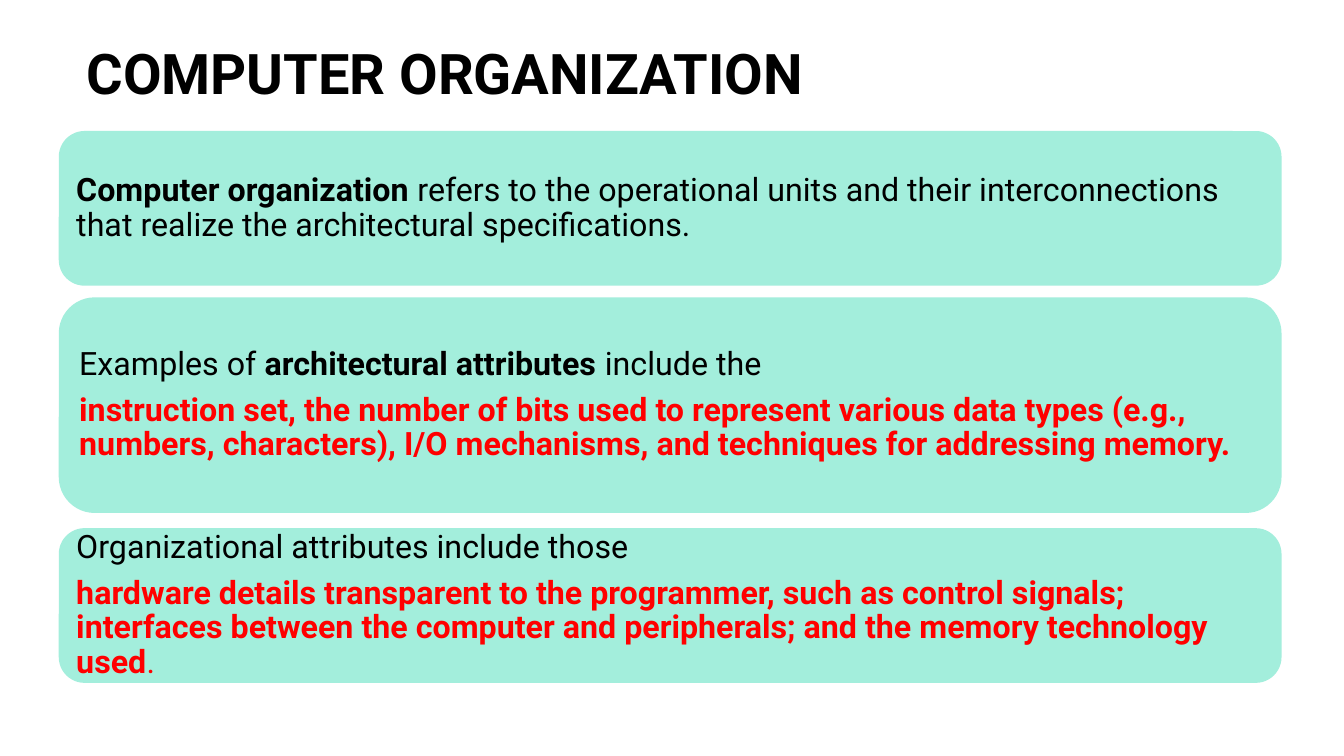
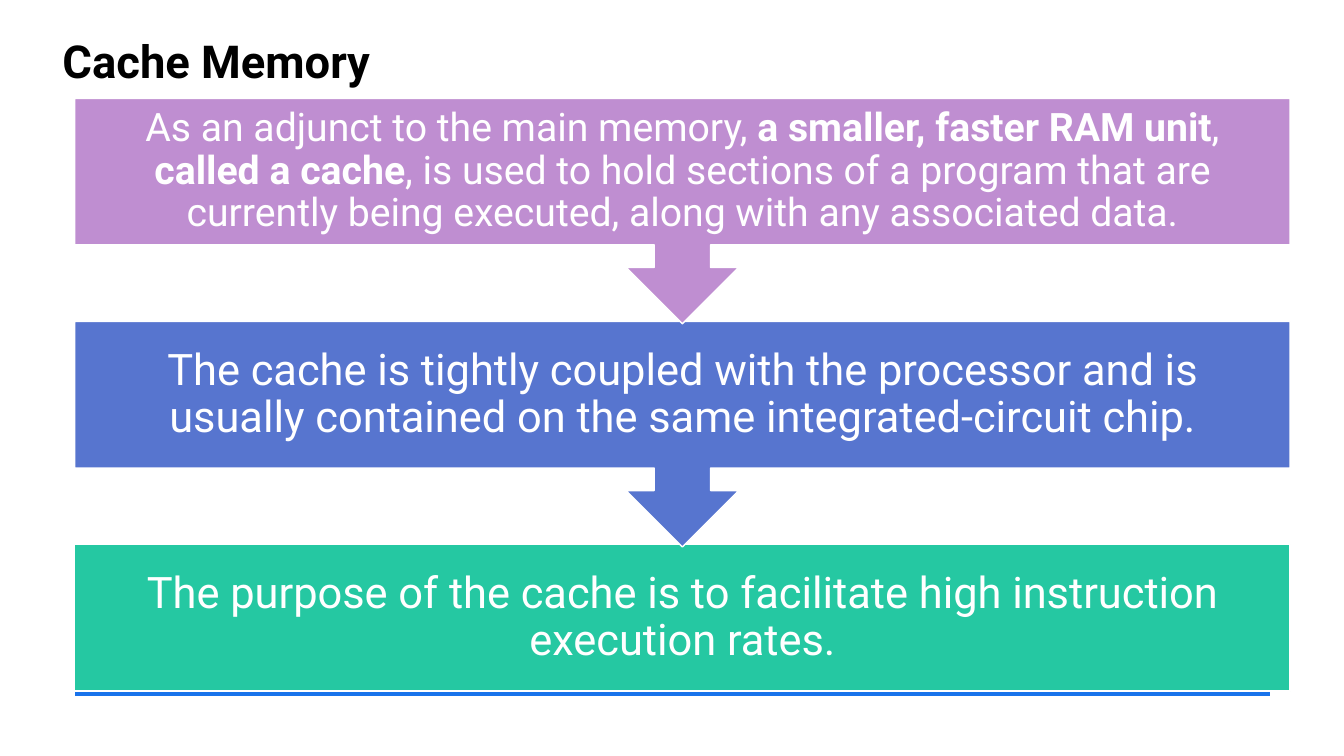
from lxml import etree
from pptx import Presentation
from pptx.dml.color import RGBColor
from pptx.enum import shapes, text
from pptx.oxml.ns import qn
from pptx.util import Pt

BLACK, WHITE, RED = "000000", "FFFFFF", "FF0000"
MINT, GREEN, BLUE, PURPLE = "A3EEDC", "25C8A2", "5775CF", "BF8ED1"
RULE = "1973EB"


def rgb(value):
    return RGBColor.from_string(value)


class Deck:
    """Holds the style and the current slide."""

    font = "Roboto"
    inset = 7.2
    line_spacing = 0.9
    space_after = 0.35  # share of the text size

    def __init__(self):
        self.prs = Presentation()
        self.prs.slide_width, self.prs.slide_height = Pt(960), Pt(540)
        self.s = None

    def slide(self):
        self.s = self.prs.slides.add_slide(self.prs.slide_layouts[6])

    def frame(self, sp, inset, anchor):
        tf = sp.text_frame
        margins = {f"margin_{side}": Pt(inset)
                   for side in ("left", "top", "right", "bottom")}
        fmt = {"word_wrap": True, "vertical_anchor": anchor, **margins}
        for name, value in fmt.items():
            setattr(tf, name, value)
        return tf

    def run(self, p, words, size, color, bold=False):
        r = p.add_run()
        r.text = words
        fmt = {"name": self.font, "size": Pt(size), "bold": bold}
        for name, value in fmt.items():
            setattr(r.font, name, value)
        r.font.color.rgb = rgb(color)

    def title(self, words, x, y, w, h, size):
        sp = self.s.shapes.add_textbox(Pt(x), Pt(y), Pt(w), Pt(h))
        tf = self.frame(sp, self.inset, text.MSO_ANCHOR.TOP)
        self.run(tf.paragraphs[0], words, size, BLACK, True)

    def panel(self, kind, x, y, w, h, fill, paragraphs, size, color,
              inset=inset, align=text.PP_ALIGN.LEFT, line=None):
        """Filled shape; each paragraph is a list of (words, changes)."""
        sp = self.s.shapes.add_shape(kind, Pt(x), Pt(y), Pt(w), Pt(h))
        sp.shadow.inherit = False
        sp.fill.solid()
        sp.fill.fore_color.rgb = rgb(fill)
        if line:
            sp.line.color.rgb = rgb(line)
            sp.line.width = Pt(1)
        else:
            sp.line.fill.background()
        tf = self.frame(sp, inset, text.MSO_ANCHOR.MIDDLE)
        for i, runs in enumerate(paragraphs):
            p = tf.add_paragraph() if i else tf.paragraphs[0]
            fmt = {"alignment": align, "line_spacing": self.line_spacing,
                   "space_after": Pt(size * self.space_after)}
            for name, value in fmt.items():
                setattr(p, name, value)
            for words, changes in runs:
                self.run(p, words, size, **{"color": color, **changes})

    def rule(self, x1, x2, y, color, width):
        c = self.s.shapes.add_connector(
            shapes.MSO_CONNECTOR.STRAIGHT, Pt(x1), Pt(y), Pt(x2), Pt(y))
        c.line.color.rgb = rgb(color)
        c.line.width = Pt(width)
        etree.SubElement(c._element.spPr, qn("a:effectLst"))


PLAIN, BOLD = {}, {"bold": True}
KEY = {"bold": True, "color": RED}


def organization(deck):
    deck.slide()
    deck.title("COMPUTER ORGANIZATION", 54.7, 20.2, 621.4, 61.2, 40)

    # Rounded panels: top, height, paragraphs
    panels = [
        (93.6, 110.5, [
            [("Computer organization ", BOLD),
             ("refers to the operational units and their interconnections "
              "that realize the architectural specifications.", PLAIN)]]),
        (212.4, 154, [
            [("Examples of ", PLAIN), ("architectural attributes ", BOLD),
             ("include the", PLAIN)],
            [("instruction set, the number of bits used to represent various "
              "data types (e.g., numbers, characters), I/O mechanisms, and "
              "techniques for addressing memory.", KEY)]]),
        (377.3, 110.5, [
            [("Organizational attributes include those", PLAIN)],
            [("hardware details transparent to the programmer, such as "
              "control signals; interfaces between the computer and "
              "peripherals; and the memory technology used", KEY),
             (".", {"color": RED})]]),
    ]
    for top, height, paragraphs in panels:
        deck.panel(shapes.MSO_SHAPE.ROUNDED_RECTANGLE, 42, top, 873.4, height,
                   MINT, paragraphs, 23, BLACK)


def cache_memory(deck):
    deck.slide()
    deck.title("Cache Memory", 37.5, 16.6, 467.3, 37.4, 32.4)
    deck.rule(53.3, 907.2, 493.9, RULE, 6)

    # Steps of the flow; all but the last point down to the next one
    callout = shapes.MSO_SHAPE.DOWN_ARROW_CALLOUT
    steps = [
        (callout, 161, PURPLE, 28, [
            ("As an adjunct to the main memory, ", PLAIN),
            ("a smaller, faster RAM unit", BOLD), (", ", PLAIN),
            ("called a cache", BOLD),
            (", is used to hold sections of a program that are currently "
             "being executed, along with any associated data.", PLAIN)]),
        (callout, 161, BLUE, 31, [
            ("The cache is tightly coupled with the processor and is usually "
             "contained on the same integrated-circuit chip.", PLAIN)]),
        (shapes.MSO_SHAPE.RECTANGLE, 104.5, GREEN, 31, [
            ("The purpose of the cache is to facilitate high instruction "
             "execution rates.", PLAIN)]),
    ]
    # Drawn from the bottom up so each arrow tip lies over the next step
    for i, (kind, height, fill, size, runs) in reversed(
            list(enumerate(steps))):
        deck.panel(kind, 53.3, 70.3 + i * 159.4, 868.3, height, fill, [runs],
                   size, WHITE, inset=size * 0.56,
                   align=text.PP_ALIGN.CENTER, line=WHITE)


def main():
    deck = Deck()
    organization(deck)
    cache_memory(deck)
    deck.prs.save("out.pptx")


if __name__ == "__main__":
    main()
